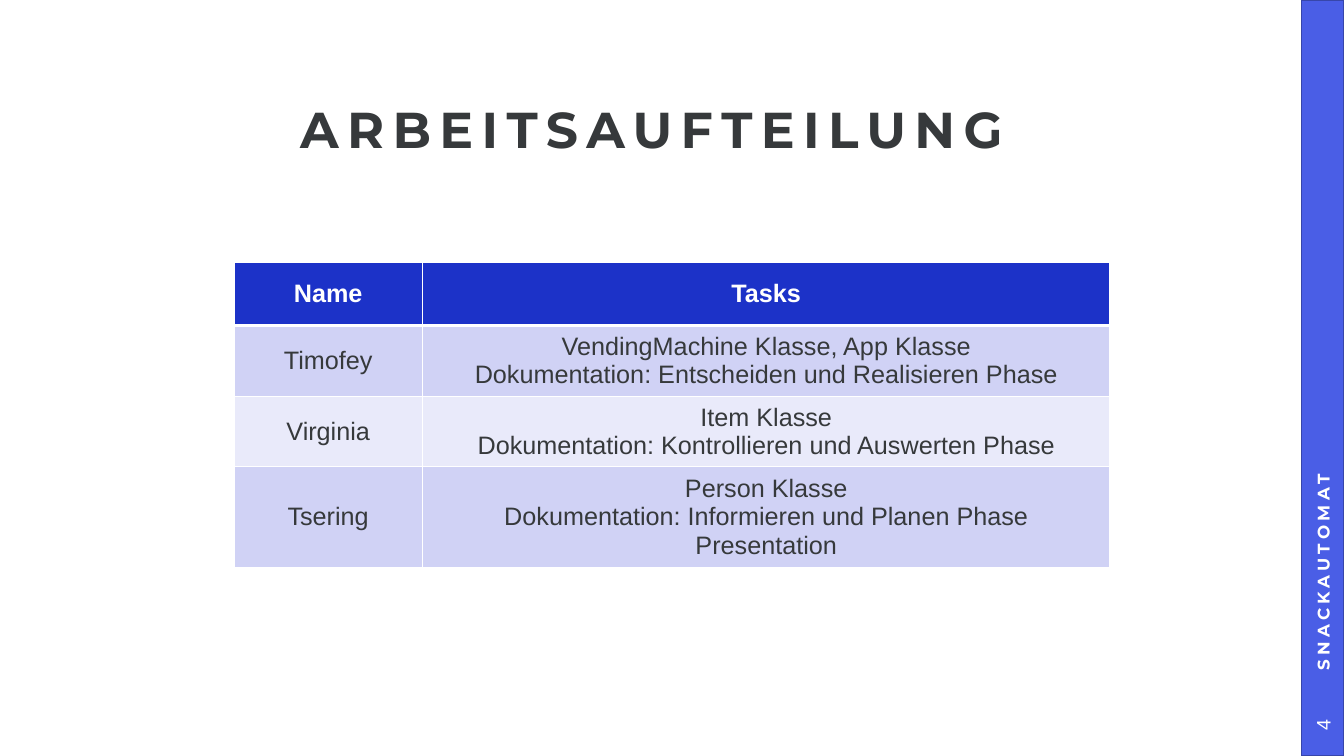
from dataclasses import dataclass

from lxml.etree import SubElement
from pptx import Presentation
from pptx.dml.color import RGBColor
from pptx.enum.shapes import MSO_SHAPE
from pptx.enum.text import MSO_ANCHOR, PP_ALIGN
from pptx.oxml.ns import qn
from pptx.util import Inches, Pt


@dataclass(frozen=True)
class Theme:
    """Colours, fonts and type sizes of the slide."""
    ink: str = "36393B"
    white: str = "FFFFFF"
    sidebar: str = "4A5EE6"
    sidebar_edge: str = "3746AA"
    header: str = "1C32C8"
    bands: tuple = ("D0D2F5", "E9EAFA")
    display: str = "Montserrat"
    body: str = "Arial"
    title_size: int = 36
    table_size: int = 18
    number_size: int = 14
    label_size: int = 12


class SlideBuilder:
    """Draws styled elements on the current slide."""

    def __init__(self, slide, theme):
        self.slide = slide
        self.theme = theme

    def set_text(self, frame, text, size, color, font, bold=False, align=PP_ALIGN.CENTER,
                 tracking=0, line_spacing=None):
        """Fill a text frame with uniformly styled paragraphs."""
        frame.text = text
        for paragraph in frame.paragraphs:
            paragraph.alignment = align
            if line_spacing:
                paragraph.line_spacing = line_spacing
            paragraph.font.name = font
            paragraph.font.size = Pt(size)
            paragraph.font.bold = bold
            paragraph.font.color.rgb = RGBColor.from_string(color)
            if tracking:
                for run in paragraph.runs:
                    run._r.get_or_add_rPr().set("spc", str(tracking * 100))

    def bar(self, left, top, width, height):
        """Draw the coloured sidebar."""
        bar = self.slide.shapes.add_shape(
            MSO_SHAPE.RECTANGLE, Inches(left), Inches(top), Inches(width), Inches(height))
        bar.shadow.inherit = False
        bar.fill.solid()
        bar.fill.fore_color.rgb = RGBColor.from_string(self.theme.sidebar)
        bar.line.color.rgb = RGBColor.from_string(self.theme.sidebar_edge)
        bar.line.width = Pt(1)

    def text(self, left, top, width, height, text, size, color, font,
             insets=(0.1, 0.05, 0.1, 0.05), rotation=0, **style):
        """Add a vertically centred text box."""
        box = self.slide.shapes.add_textbox(
            Inches(left), Inches(top), Inches(width), Inches(height))
        box.rotation = rotation
        frame = box.text_frame
        frame.word_wrap = True
        frame.vertical_anchor = MSO_ANCHOR.MIDDLE
        frame.margin_left, frame.margin_top, frame.margin_right, frame.margin_bottom = map(
            Inches, insets)
        self.set_text(frame, text, size, color, font, **style)

    def borders(self, cell, **widths):
        """Give a cell white borders of the given widths in points."""
        properties = cell._tc.get_or_add_tcPr()
        for side in "LRTB":
            line = SubElement(properties, qn(f"a:ln{side}"), w=str(Pt(widths.get(side, 1))))
            fill = SubElement(line, qn("a:solidFill"))
            SubElement(fill, qn("a:srgbClr"), val=self.theme.white)

    def table(self, left, top, column_widths, row_height, rows):
        """Add a banded table whose first row is the header."""
        theme = self.theme
        table = self.slide.shapes.add_table(
            len(rows), len(column_widths), Inches(left), Inches(top),
            Inches(sum(column_widths)), Inches(row_height * len(rows))).table
        for column, width in zip(table.columns, column_widths):
            column.width = Inches(width)
        for row_index, values in enumerate(rows):
            is_header = row_index == 0
            fill = theme.header if is_header else theme.bands[(row_index - 1) % 2]
            color = theme.white if is_header else theme.ink
            for column_index, value in enumerate(values):
                cell = table.cell(row_index, column_index)
                cell.vertical_anchor = MSO_ANCHOR.MIDDLE
                self.borders(cell, T=3 if row_index == 1 else 1, B=3 if is_header else 1)
                cell.fill.solid()
                cell.fill.fore_color.rgb = RGBColor.from_string(fill)
                self.set_text(cell.text_frame, value, theme.table_size, color,
                              theme.body, bold=is_header)


def main():
    """Build and save the slide on the division of work."""
    presentation = Presentation()
    presentation.slide_width = Inches(13.33)
    presentation.slide_height = Inches(7.5)
    theme = Theme()
    builder = SlideBuilder(
        presentation.slides.add_slide(presentation.slide_layouts[6]), theme)

    builder.bar(12.91, 0, 0.42, 7.5)
    builder.text(0.93, 0.96, 11.07, 0.71, "ARBEITSAUFTEILUNG", theme.title_size, theme.ink,
                 theme.display, insets=(0, 0, 0, 0), bold=True, tracking=6, line_spacing=0.9)
    assignments = [
        ("Name", "Tasks"),
        ("Timofey", "VendingMachine Klasse, App Klasse\n"
                    "Dokumentation: Entscheiden und Realisieren Phase"),
        ("Virginia", "Item Klasse\nDokumentation: Kontrollieren und Auswerten Phase"),
        ("Tsering", "Person Klasse\nDokumentation: Informieren und Planen Phase\nPresentation"),
    ]
    builder.table(2.32, 2.6, (1.87, 6.82), 0.63, assignments)
    builder.text(9.68, 3.23, 6.88, 0.42, "SNACKAUTOMAT", theme.label_size, theme.white,
                 theme.display, insets=(0.23, 0.05, 0.1, 0.05), rotation=270, bold=True,
                 align=PP_ALIGN.LEFT, tracking=3)
    builder.text(12.81, 6.98, 0.62, 0.42, "4", theme.number_size, theme.white, theme.body,
                 rotation=270)
    presentation.save("out.pptx")


if __name__ == "__main__":
    main()
